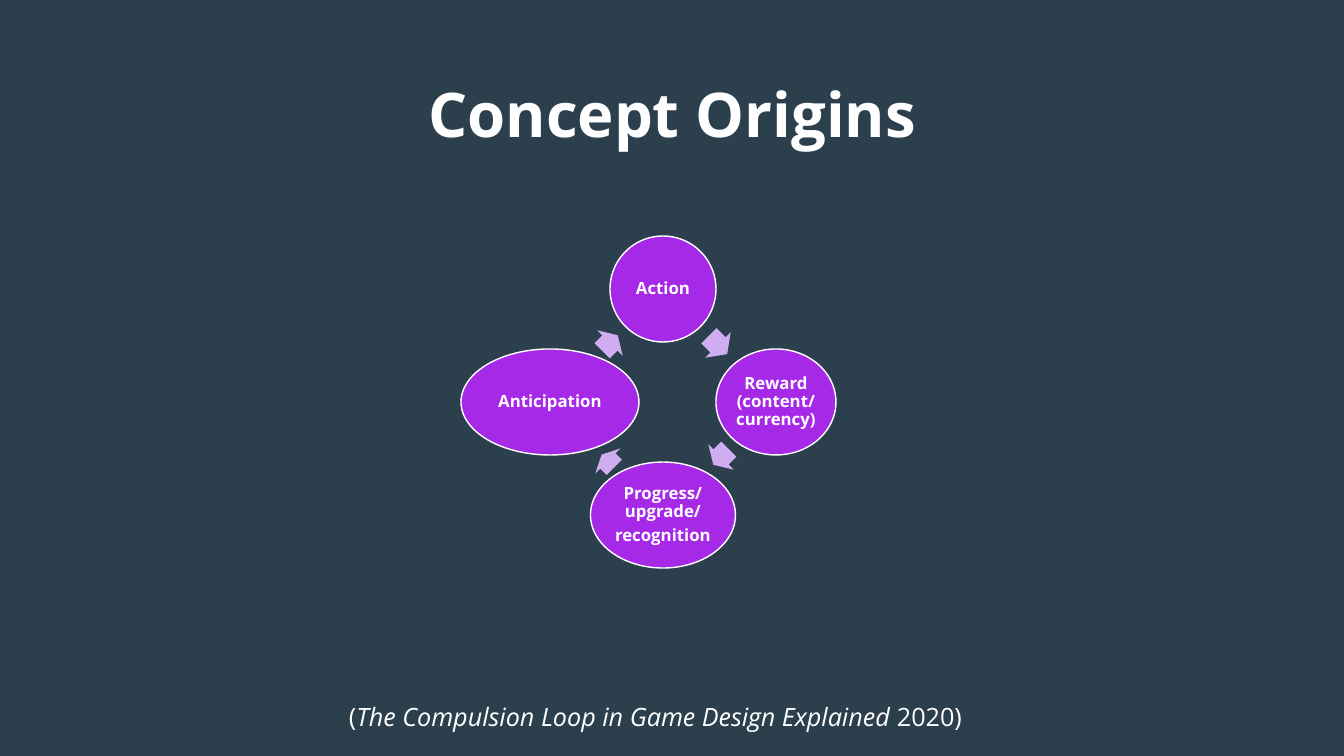
import pptx
import pptx.dml.color
import pptx.enum.shapes
import pptx.enum.text
import pptx.util

RGBColor = pptx.dml.color.RGBColor
Shapes = pptx.enum.shapes.MSO_SHAPE
Align = pptx.enum.text.PP_ALIGN
Anchor = pptx.enum.text.MSO_ANCHOR

BACKGROUND = RGBColor(0x2B, 0x3F, 0x4C)
WHITE = RGBColor(0xFF, 0xFF, 0xFF)
PURPLE = RGBColor(0xA6, 0x29, 0xE7)
LILAC = RGBColor(0xD0, 0xAD, 0xF1)
FONT = "Open Sans"


def px(count):
    """Convert slide pixels (100.8 to the inch) to EMU."""
    return pptx.util.Emu(round(count * 914400 / 100.8))


def write_text(shape, text, size, bold=False, align=Align.LEFT, anchor=Anchor.TOP,
               inset=None, line_spacing=None, space_after=0):
    """Fill a shape with text; newlines split paragraphs, asterisks enclose italics."""
    frame = shape.text_frame
    frame.word_wrap = True
    frame.vertical_anchor = anchor
    if inset is not None:
        frame.margin_left = frame.margin_right = px(inset)
        frame.margin_top = frame.margin_bottom = px(inset)
    for index, line in enumerate(text.split("\n")):
        paragraph = frame.add_paragraph() if index else frame.paragraphs[0]
        paragraph.alignment = align
        paragraph.line_spacing = line_spacing
        paragraph.space_after = pptx.util.Pt(space_after)
        for part, words in enumerate(line.split("*")):
            run = paragraph.add_run()
            run.text = words
            run.font.name = FONT
            run.font.size = pptx.util.Pt(size)
            run.font.bold = bold
            run.font.italic = part % 2 == 1
            run.font.color.rgb = WHITE


presentation = pptx.Presentation()
presentation.slide_width = px(1344)
presentation.slide_height = px(756)
slide = presentation.slides.add_slide(presentation.slide_layouts[6])
slide.background.fill.solid()
slide.background.fill.fore_color.rgb = BACKGROUND

title = slide.shapes.add_textbox(px(93), px(40), px(1159), px(146))
write_text(title, "Concept Origins", size=44, bold=True,
           align=Align.CENTER, anchor=Anchor.MIDDLE)

citation = slide.shapes.add_textbox(px(339), px(696), px(667), px(40))
write_text(citation, "(*The Compulsion Loop in Game Design Explained* 2020)", size=18)

# The loop runs clockwise from the top; each stage is followed by its arrow.
LOOP_X, LOOP_Y, LOOP_RADIUS = 663, 402, 113
STAGE_HEIGHT, ARROW_HEIGHT = 106, 36
# text, direction from the loop centre, stage width, arrow centre, arrow length
STAGES = [
    ("Action", (0, -1), 106, (718, 345), 26),
    ("Reward (content/currency)", (1, 0), 120, (721, 457), 22),
    ("Progress/upgrade/\nrecognition", (0, 1), 145, (608, 461), 18),
    ("Anticipation", (-1, 0), 178, (610, 343), 22),
]
for index, (text, direction, width, arrow_centre, arrow_length) in enumerate(STAGES):
    centre_x = LOOP_X + direction[0] * LOOP_RADIUS
    centre_y = LOOP_Y + direction[1] * LOOP_RADIUS
    stage = slide.shapes.add_shape(
        Shapes.OVAL, px(centre_x - width / 2), px(centre_y - STAGE_HEIGHT / 2),
        px(width), px(STAGE_HEIGHT))
    stage.shadow.inherit = False
    stage.fill.solid()
    stage.fill.fore_color.rgb = PURPLE
    stage.line.color.rgb = WHITE
    stage.line.width = pptx.util.Pt(1)
    write_text(stage, text, size=12, bold=True, align=Align.CENTER,
               anchor=Anchor.MIDDLE, inset=1, line_spacing=0.9, space_after=4.2)

    arrow = slide.shapes.add_shape(
        Shapes.RIGHT_ARROW, px(arrow_centre[0] - arrow_length / 2),
        px(arrow_centre[1] - ARROW_HEIGHT / 2), px(arrow_length), px(ARROW_HEIGHT))
    arrow.shadow.inherit = False
    arrow.adjustments[0] = 0.6
    arrow.adjustments[1] = 0.5
    arrow.rotation = 45 + 90 * index
    arrow.fill.solid()
    arrow.fill.fore_color.rgb = LILAC
    arrow.line.fill.background()

presentation.save("out.pptx")
